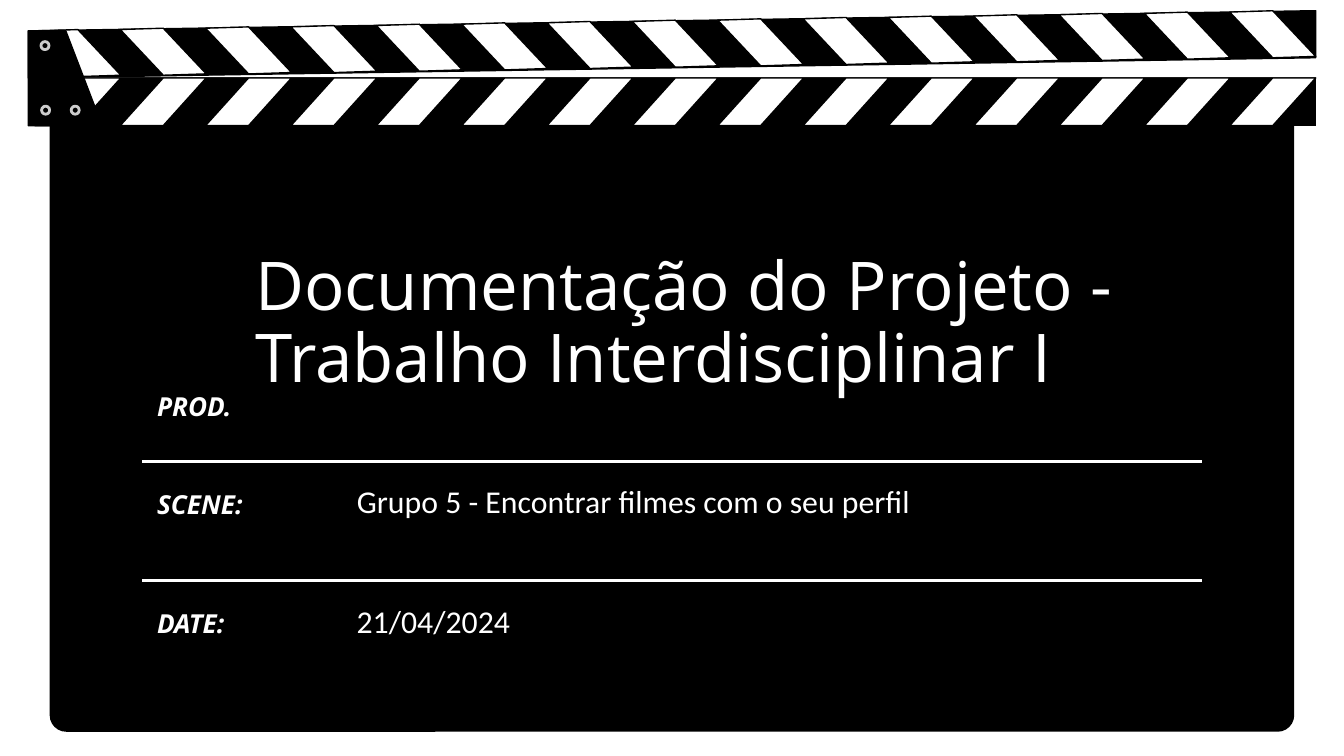
from dataclasses import dataclass

from lxml.etree import SubElement
from pptx import Presentation
from pptx.dml.color import RGBColor
from pptx.enum.shapes import MSO_CONNECTOR, MSO_SHAPE
from pptx.enum.text import MSO_ANCHOR, MSO_AUTO_SIZE, PP_ALIGN
from pptx.oxml.ns import qn
from pptx.util import Emu, Pt

PX = 4572  # EMU per px, 200 px to the inch
BLACK, WHITE, GREY, DARK = "000000", "FFFFFF", "CCCCCC", "171717"
STRIPE_COUNT = 15
STRIPE_LEFT, STRIPE_STEP = 52, 127
HALF, STRIPE_WIDTH = 64, 128
BAR_LEFT, BAR_RIGHT, BAR_TOP, BAR_BOTTOM = 42, 1958, 116, 187
ARM_TOP = 46


@dataclass
class Rect:
    left: int
    top: int
    width: int
    height: int


@dataclass
class TextStyle:
    font: str
    size: int
    bold: bool = False
    italic: bool = False
    anchor: MSO_ANCHOR = MSO_ANCHOR.MIDDLE
    line_spacing: float = 1.0


@dataclass
class Field:
    label: str
    label_top: int
    value: str = ""
    value_top: int = 0


TITLE = TextStyle("Open Sans", 36, line_spacing=0.9)
VALUE = TextStyle("Calibri", 17)
LABEL = TextStyle("Open Sans", 14, bold=True, italic=True, anchor=MSO_ANCHOR.TOP)
FIELDS = [
    Field("PROD.", 561),
    Field("SCENE:", 707, "Grupo 5 - Encontrar filmes com o seu perfil", 700),
    Field("DATE:", 884, "21/04/2024", 879),
]


def px(length: int) -> Emu:
    return Emu(length * PX)


def colour(value: str) -> RGBColor:
    return RGBColor.from_string(value)


def paint(shape, fill: str, line: str, width: float = 0.75) -> None:
    shape.shadow.inherit = False
    shape.fill.solid()
    shape.fill.fore_color.rgb = colour(fill)
    shape.line.color.rgb = colour(line)
    shape.line.width = Pt(width)


def draw_polygon(page, points: list[tuple[int, int]], fill: str) -> None:
    builder = page.shapes.build_freeform(*points[0], scale=PX)
    builder.add_line_segments(points[1:], close=True)
    paint(builder.convert_to_shape(), fill, BLACK)


def draw_line(page, left: int, right: int, top: int, line: str, width: float) -> None:
    connector = page.shapes.add_connector(
        MSO_CONNECTOR.STRAIGHT, px(left), px(top), px(right), px(top))
    connector.line.color.rgb = colour(line)
    connector.line.width = Pt(width)
    SubElement(connector.element.spPr, qn("a:effectLst"))


def add_shape(page, kind: MSO_SHAPE, rect: Rect):
    return page.shapes.add_shape(
        kind, px(rect.left), px(rect.top), px(rect.width), px(rect.height))


def write(box, rect: Rect, text: str, style: TextStyle) -> None:
    """Place a text box or placeholder and fill it with one formatted paragraph."""
    box.left, box.top = px(rect.left), px(rect.top)
    box.width, box.height = px(rect.width), px(rect.height)
    frame = box.text_frame
    frame.text = text
    frame.word_wrap = True
    frame.auto_size = MSO_AUTO_SIZE.NONE
    frame.vertical_anchor = style.anchor
    frame.margin_left = frame.margin_right = px(20)
    frame.margin_top = frame.margin_bottom = px(20)
    para = frame.paragraphs[0]
    para.alignment = PP_ALIGN.LEFT
    para.line_spacing = style.line_spacing
    para.space_before = Pt(0)
    font = para.runs[0].font
    font.name, font.size = style.font, Pt(style.size)
    font.bold, font.italic = style.bold, style.italic
    font.color.rgb = colour(WHITE)


def bring_to_front(box) -> None:
    box.element.getparent().append(box.element)


def add_text_box(page):
    return page.shapes.add_textbox(0, 0, px(1), px(1))


def draw_clapperboard(page) -> None:
    board = add_shape(page, MSO_SHAPE.ROUNDED_RECTANGLE, Rect(74, 144, 1852, 945))
    board.adjustments[0] = 0.026
    paint(board, BLACK, BLACK)
    board.line.fill.background()

    lefts = [STRIPE_LEFT + STRIPE_STEP * index for index in range(STRIPE_COUNT)]
    draw_polygon(page, [(BAR_LEFT, BAR_TOP), (BAR_LEFT, BAR_BOTTOM),
                        (BAR_RIGHT, BAR_BOTTOM), (BAR_RIGHT, BAR_TOP)], BLACK)
    for left in lefts:
        draw_polygon(page, [(left + HALF, BAR_TOP), (left, BAR_BOTTOM),
                            (left + HALF, BAR_BOTTOM),
                            (left + STRIPE_WIDTH, BAR_TOP)], WHITE)

    # The raised arm climbs two px with each stripe.
    draw_polygon(page, [(BAR_RIGHT, 16), (BAR_LEFT, ARM_TOP),
                        (BAR_LEFT, 116), (BAR_RIGHT, 86)], BLACK)
    for index, left in enumerate(lefts):
        top = 44 - 2 * index
        draw_polygon(page, [(left + HALF, top), (left, top + 2),
                            (left + HALF, top + 70),
                            (left + STRIPE_WIDTH, top + 68)], WHITE)
    draw_line(page, BAR_LEFT, BAR_RIGHT, BAR_TOP, DARK, 0.48)

    draw_polygon(page, [(BAR_LEFT, ARM_TOP), (BAR_LEFT, BAR_BOTTOM),
                        (152, BAR_BOTTOM), (98, ARM_TOP)], BLACK)
    for left, top in [(61, 62), (62, 158), (106, 158)]:
        rivet = add_shape(page, MSO_SHAPE.OVAL, Rect(left, top, 12, 12))
        paint(rivet, BLACK, GREY, 1.5)


def main() -> None:
    deck = Presentation()
    deck.slide_width, deck.slide_height = px(2000), px(1125)
    page = deck.slides.add_slide(deck.slide_layouts[0])
    title, subtitle = page.placeholders
    draw_clapperboard(page)

    write(title, Rect(360, 281, 1524, 404),
          "Documentação do Projeto - Trabalho Interdisciplinar I", TITLE)
    bring_to_front(title)
    bring_to_front(subtitle)
    value_boxes = iter([subtitle, add_text_box(page)])
    for field in FIELDS:
        write(add_text_box(page), Rect(214, field.label_top, 222, 58),
              field.label, LABEL)
        if field.value:
            write(next(value_boxes), Rect(511, field.value_top, 1044, 90),
                  field.value, VALUE)
    for top in (864, 687):
        draw_line(page, 212, 1788, top, WHITE, 1.5)
    deck.save("out.pptx")


if __name__ == "__main__":
    main()
